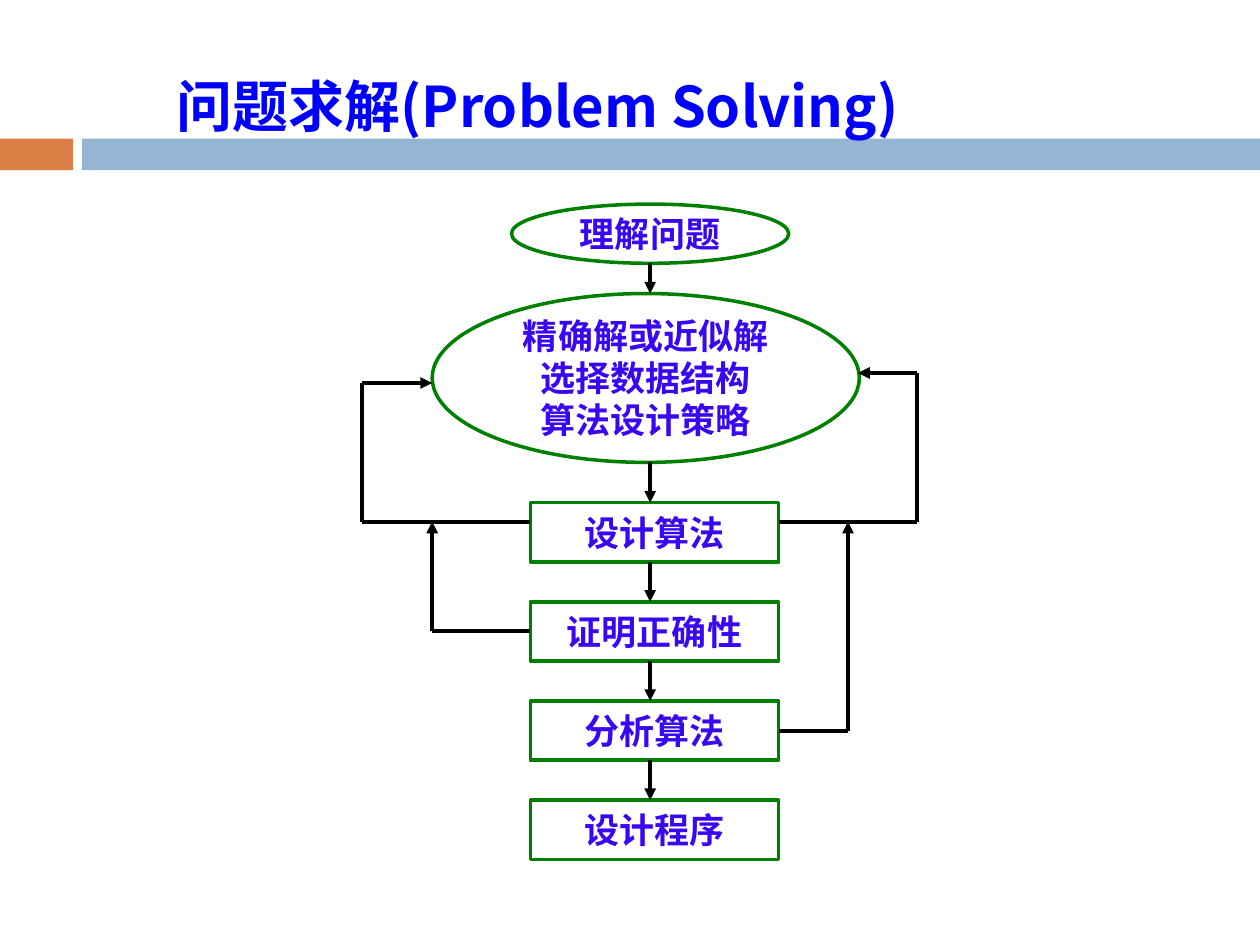
from itertools import pairwise
from lxml import etree
from pptx import Presentation
from pptx.dml.color import RGBColor
from pptx.enum.shapes import MSO_CONNECTOR, MSO_SHAPE
from pptx.enum.text import MSO_ANCHOR, PP_ALIGN
from pptx.oxml.ns import qn
from pptx.util import Inches, Pt

ORANGE = RGBColor(0xDD, 0x80, 0x47)
SKY = RGBColor(0x94, 0xB6, 0xD2)
BLUE = RGBColor(0x00, 0x00, 0xFF)
VIOLET = RGBColor(0x39, 0x07, 0xF1)
GREEN = RGBColor(0x00, 0x80, 0x00)
WHITE = RGBColor(0xFF, 0xFF, 0xFF)
BLACK = RGBColor(0x00, 0x00, 0x00)
CJK = "Noto Sans CJK SC"

TITLE = "问题求解(Problem Solving)"
BANDS = [(0, 0.58, ORANGE), (0.65, 9.35, SKY)]
OVALS = [
    ("理解问题", 4.06, 1.62, 2.2, 0.47),
    ("精确解或近似解\n选择数据结构\n算法设计策略", 3.43, 2.33, 3.39, 1.34),
]
STEPS = ["设计算法", "证明正确性", "分析算法", "设计程序"]
STEP_LEFT, STEP_TOP, STEP_W, STEP_H, STEP_PITCH = 4.21, 3.99, 1.97, 0.47, 0.787
STEP_RIGHT = STEP_LEFT + STEP_W
FLOW_X, JOIN_Y = 5.16, 4.14
FEEDBACK = [
    [(STEP_LEFT, JOIN_Y), (2.87, JOIN_Y), (2.87, 3.04), (3.43, 3.04)],
    [(STEP_RIGHT, JOIN_Y), (7.28, JOIN_Y), (7.28, 2.96), (6.81, 2.96)],
    [(STEP_LEFT, 5.01), (3.43, 5.01), (3.43, JOIN_Y)],
    [(STEP_RIGHT, 5.8), (6.73, 5.8), (6.73, JOIN_Y)],
]

prs = Presentation()
prs.slide_width, prs.slide_height = Inches(10), Inches(7.5)
s = prs.slides.add_slide(prs.slide_layouts[5])


def style_text(tf, size, color, font):
    for p in tf.paragraphs:
        for r in p.runs:
            r.font.size, r.font.bold, r.font.name = Pt(size), True, font
            r.font.color.rgb = color
            ea = etree.SubElement(r.font._element, qn("a:ea"))
            ea.set("typeface", CJK)


def add_box(kind, left, top, width, height, fill):
    sp = s.shapes.add_shape(kind, *map(Inches, (left, top, width, height)))
    sp.shadow.inherit = False
    sp.fill.solid()
    sp.fill.fore_color.rgb = fill
    sp.line.fill.background()
    return sp


def add_node(kind, text, *box):
    sp = add_box(kind, *box, WHITE)
    sp.line.color.rgb = GREEN
    sp.line.width = Pt(2)
    tf = sp.text_frame
    tf.text = text
    tf.word_wrap = False
    tf.vertical_anchor = MSO_ANCHOR.MIDDLE
    for p in tf.paragraphs:
        p.alignment = PP_ALIGN.CENTER
        if len(tf.paragraphs) > 1:
            p.line_spacing = Pt(24)
    style_text(tf, 20, VIOLET, "Arial")


def add_route(points):
    for start, end in pairwise(points):
        c = s.shapes.add_connector(MSO_CONNECTOR.STRAIGHT, *map(Inches, start + end))
        c.line.color.rgb = BLACK
        c.line.width = Pt(2.25)
        if end == points[-1]:
            tail = etree.SubElement(c.line._get_or_add_ln(), qn("a:tailEnd"))
            tail.set("type", "triangle")
        etree.SubElement(c._element.spPr, qn("a:effectLst"))


for left, width, color in BANDS:
    add_box(MSO_SHAPE.RECTANGLE, left, 1.1, width, 0.25, color)

title = s.shapes.title
title.left, title.top, title.width, title.height = map(Inches, (1.3, 0.21, 8.5, 1.25))
title.text_frame.text = TITLE
title.text_frame.vertical_anchor = MSO_ANCHOR.MIDDLE
title.text_frame.paragraphs[0].alignment = PP_ALIGN.LEFT
style_text(title.text_frame, 32, BLUE, CJK)
s.shapes._spTree.append(title._element)

spans = []
for text, left, top, width, height in OVALS:
    add_node(MSO_SHAPE.OVAL, text, left, top, width, height)
    spans.append((top, top + height))
for i, text in enumerate(STEPS):
    top = STEP_TOP + i * STEP_PITCH
    add_node(MSO_SHAPE.RECTANGLE, text, STEP_LEFT, top, STEP_W, STEP_H)
    spans.append((top, top + STEP_H))

for upper, lower in pairwise(spans):
    add_route([(FLOW_X, upper[1]), (FLOW_X, lower[0])])
for points in FEEDBACK:
    add_route(points)

prs.save("out.pptx")
